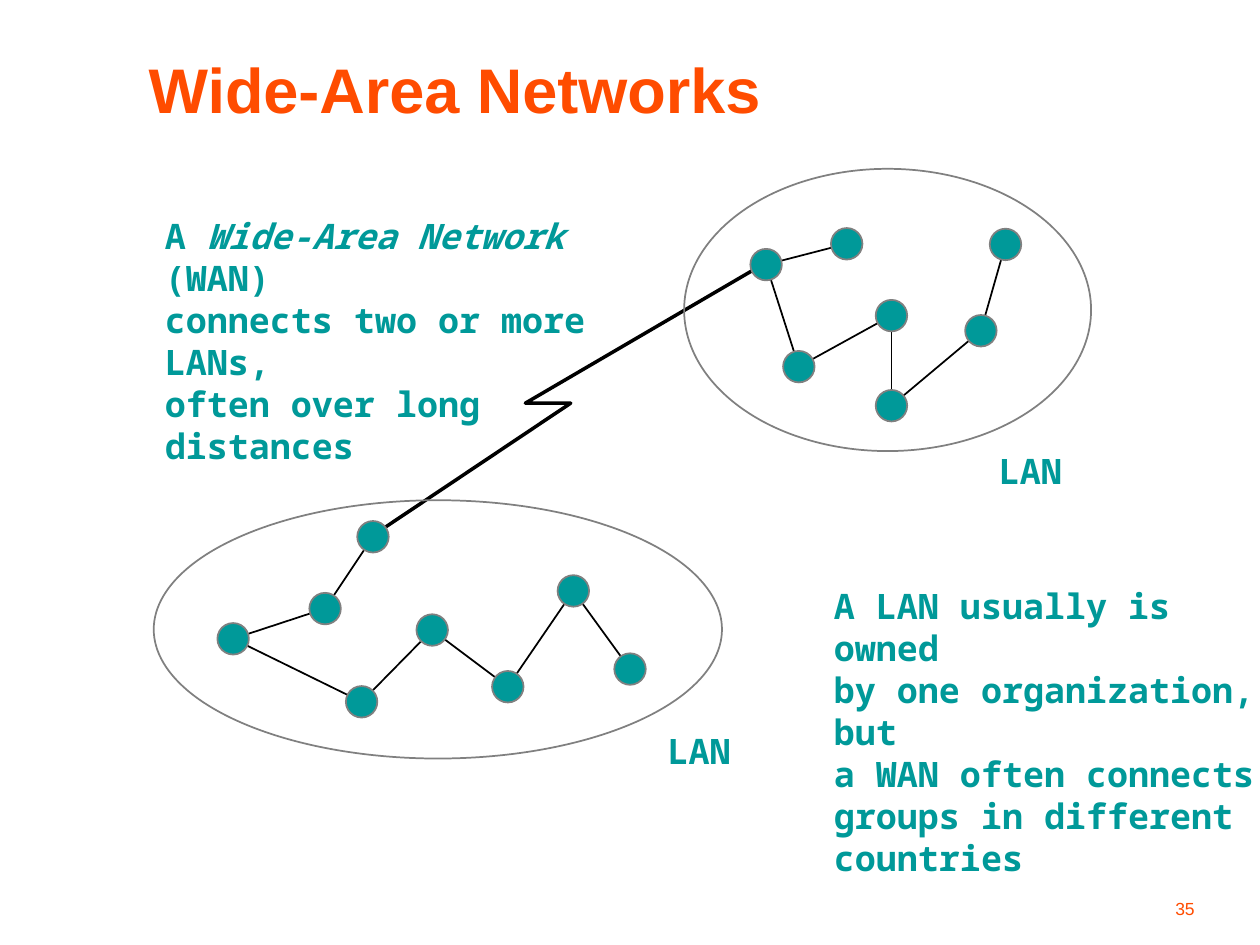
from dataclasses import dataclass

from lxml import etree
from pptx import Presentation
from pptx.dml.color import RGBColor
from pptx.enum.shapes import MSO_CONNECTOR, MSO_SHAPE
from pptx.enum.text import MSO_ANCHOR, MSO_AUTO_SIZE, PP_ALIGN
from pptx.oxml.ns import qn
from pptx.util import Inches, Pt

STRAIGHT, OVAL = MSO_CONNECTOR.STRAIGHT, MSO_SHAPE.OVAL
TOP, MIDDLE, BOTTOM = MSO_ANCHOR.TOP, MSO_ANCHOR.MIDDLE, MSO_ANCHOR.BOTTOM
LEFT, RIGHT = PP_ALIGN.LEFT, PP_ALIGN.RIGHT
NO_AUTOFIT = MSO_AUTO_SIZE.NONE

ORANGE = RGBColor(0xFF, 0x4C, 0x00)
TEAL = RGBColor(0x00, 0x99, 0x99)
GRAY = RGBColor(0x80, 0x80, 0x80)
BLACK = RGBColor(0, 0, 0)
SANS, MONO = "Arial", "Noto Sans Mono"

# Grid of 100 columns by 75 rows with square cells
COLS, ROWS = 100, 75
CELL = Inches(10) // COLS
NODE = 2.5

Point = tuple[float, float]
Box = tuple[float, float, float, float]


@dataclass(frozen=True)
class Lan:
    outline: Box
    label: Box
    nodes: list[Point]  # centres, in the order in which they are linked


LOWER_LAN = Lan(
    (12.2, 39.7, 45.1, 20.5), (52, 57.4, 7.8, 4.3),
    [(29.6, 42.6), (25.8, 48.3), (18.5, 50.7), (28.7, 55.7),
     (34.3, 50), (40.3, 54.5), (45.5, 46.9), (50, 53.1)])
UPPER_LAN = Lan(
    (54.3, 13.4, 32.3, 22.4), (78.3, 35.2, 7.8, 4.3),
    [(67.2, 19.35), (60.8, 21), (63.4, 29.1), (70.75, 25.05),
     (70.75, 32.2), (77.85, 26.25), (79.8, 19.4)])
WAN_LINK = [(29.6, 42.5), (45.3, 32), (41.7, 32), (60.7, 20.9)]

WAN_TEXT = [
    [("A ", False), ("Wide-Area Network", True), (" (WAN)", False)],
    "connects two or more LANs,",
    "often over long distances",
]
OWNER_TEXT = [
    "A LAN usually is owned",
    "by one organization, but",
    "a WAN often connects",
    "groups in different",
    "countries",
]


def cells(*values: float) -> list[int]:
    """Turn grid units into EMU."""
    return [round(v * CELL) for v in values]


def write(sp, lines, size=20, font=MONO, color=TEAL, bold=True,
          align=LEFT, anchor=TOP) -> None:
    """Fill a shape; a line is a string or a list of (text, italic) runs."""
    tf = sp.text_frame
    tf.word_wrap = True
    tf.auto_size = NO_AUTOFIT
    tf.vertical_anchor = anchor
    for i, line in enumerate(lines):
        p = tf.add_paragraph() if i else tf.paragraphs[0]
        p.alignment = align
        for text, italic in ([(line, False)] if isinstance(line, str) else line):
            r = p.add_run()
            r.text = text
            f = r.font
            f.name, f.size, f.bold, f.italic = font, Pt(size), bold, italic
            f.color.rgb = color


def add_text(shapes, box: Box, lines, **style) -> None:
    write(shapes.add_textbox(*cells(*box)), lines, **style)


def add_oval(shapes, box: Box, fill=None) -> None:
    sp = shapes.add_shape(OVAL, *cells(*box))
    sp.shadow.inherit = False
    if fill is None:
        sp.fill.background()
    else:
        sp.fill.solid()
        sp.fill.fore_color.rgb = fill
    sp.line.color.rgb = GRAY
    sp.line.width = Pt(1)


def add_link(shapes, start: Point, end: Point) -> None:
    link = shapes.add_connector(STRAIGHT, *cells(*start, *end))
    link.line.color.rgb = BLACK
    link.line.width = Pt(1)
    etree.SubElement(link._element.spPr, qn("a:effectLst"))


def add_wan_link(shapes, points: list[Point]) -> None:
    corners = [cells(*pt) for pt in points]
    builder = shapes.build_freeform(*corners[0])
    builder.add_line_segments(corners[1:], close=False)
    sp = builder.convert_to_shape()
    sp.shadow.inherit = False
    sp.fill.background()
    sp.line.color.rgb = BLACK
    sp.line.width = Pt(2)


def add_lan(shapes, lan: Lan) -> None:
    group = shapes.add_group_shape().shapes
    for start, end in zip(lan.nodes, lan.nodes[1:]):
        add_link(group, start, end)
    for x, y in lan.nodes:
        add_oval(group, (x - NODE / 2, y - NODE / 2, NODE, NODE), TEAL)
    add_oval(group, lan.outline)
    add_text(group, lan.label, ["LAN"])


def main() -> None:
    prs = Presentation()
    prs.slide_width, prs.slide_height = cells(COLS, ROWS)
    s = prs.slides.add_slide(prs.slide_layouts[5])
    shapes = s.shapes

    title = shapes.title
    title.left, title.top, title.width, title.height = cells(10.8, 3.3, 86.7, 7.5)
    write(title, ["Wide-Area Networks"], size=36, font=SANS, color=ORANGE,
          anchor=MIDDLE)

    add_wan_link(shapes, WAN_LINK)
    add_lan(shapes, LOWER_LAN)
    add_text(shapes, (12.1, 16.5, 40.9, 11), WAN_TEXT)
    add_text(shapes, (65.2, 45.9, 36, 17.7), OWNER_TEXT)
    add_lan(shapes, UPPER_LAN)
    add_text(shapes, (75, 69.2, 20.8, 4.2), ["35"], size=10, font=SANS,
             color=ORANGE, bold=False, align=RIGHT, anchor=BOTTOM)
    prs.save("out.pptx")


if __name__ == "__main__":
    main()
